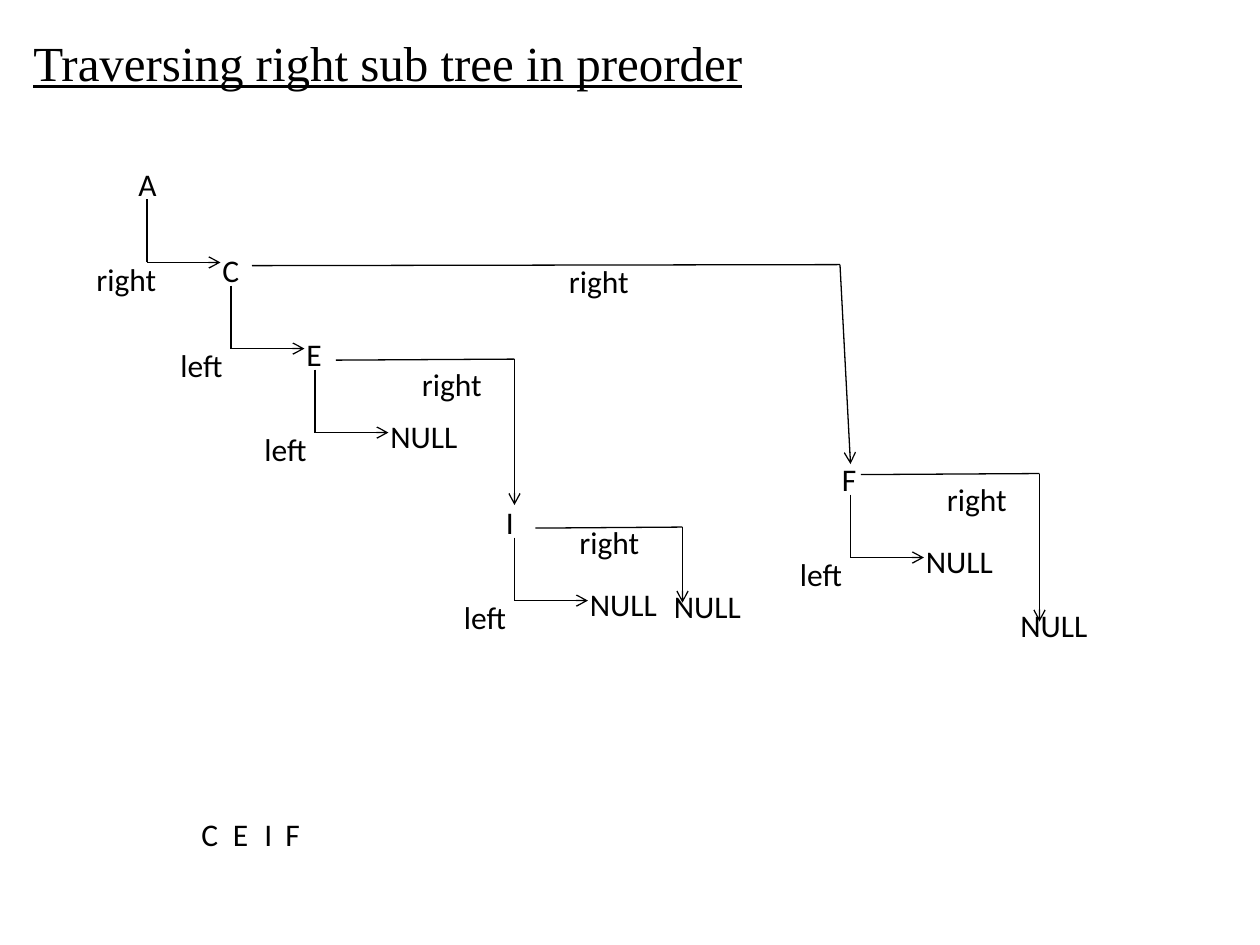
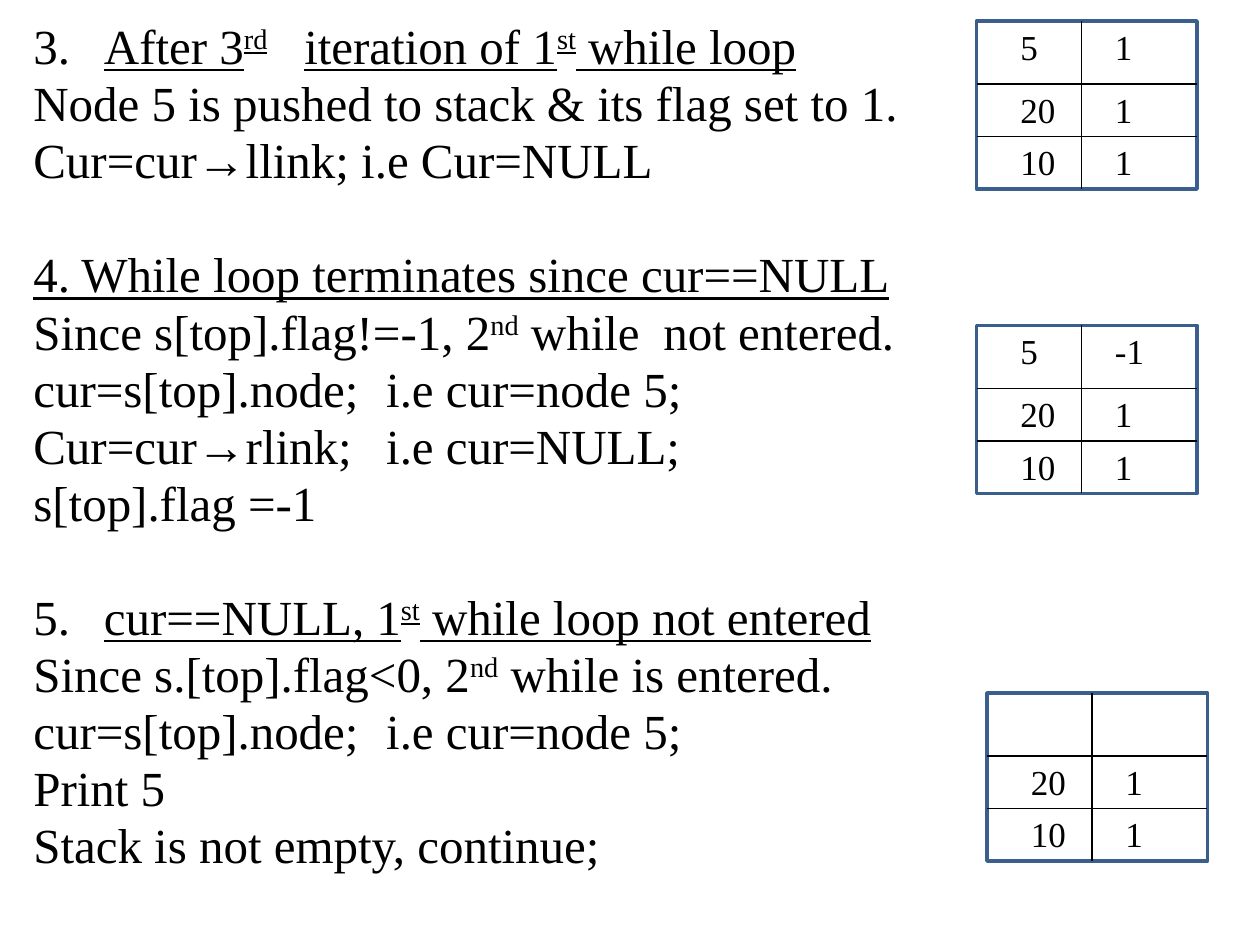
from collections import namedtuple
from itertools import pairwise

from lxml.etree import SubElement
from pptx import Presentation
from pptx.dml.color import RGBColor
from pptx.enum.shapes import MSO_CONNECTOR as Connector, MSO_SHAPE as Shape
from pptx.oxml.ns import qn
from pptx.util import Inches, Pt

CELLS_PER_INCH = 12
BLACK, WHITE, STACK_BLUE = "000000", "FFFFFF", "3A5F8C"
SERIF, SANS = "Times New Roman", "Calibri"
BODY_SIZE, LABEL_SIZE, VALUE_SIZE = 28, 18, 20
LINE_PITCH, LINE_GAP = 27, 5.6
TAB_STOPS = (2.15, 2.8, 5)

Box = namedtuple("Box", "left top width height")
Branch = namedtuple("Branch", "start corner tip label")

TREE_NODES = {"A": (4, 0.1), "C": (12, 8.3), "E": (20, 16.3),
              "I": (39, 32.3), "F": (71, 28.2)}
FIRST_BRANCHES = {"A": "right", "C": "left", "E": "left", "I": "left", "F": "left"}
LEAF_PARENTS = "EIF"
RIGHT_BRANCHES = [
    Branch((16, 10.3), (72, 10.2), (73, 29.2), (45, 9.4)),
    Branch((24, 19.3), (41, 19.2), (41, 33.1), (31, 19.2)),
    Branch((43, 35.3), (57, 35.2), (57, 42.4), (46, 34.2)),
    Branch((74, 30.2), (91, 30.1), (91, 44.2), (81, 30.1)),
]
RIGHT_LEAVES = [(55, 40.3), (88, 42.1)]
VISIT_ORDER = {"C": 0, "E": 3, "I": 6, "F": 8}

STEPS = [
    (3, ["After 3^rd^\titeration of 1^st^ while loop",
         "Node 5 is pushed to stack & its flag set to 1.",
         "Cur=cur→llink; i.e Cur=NULL"]),
    (None, ["4. While loop terminates since cur==NULL",
            "Since s[top].flag!=-1, 2^nd^ while\tnot entered.",
            "cur=s[top].node;\ti.e cur=node 5;",
            "Cur=cur→rlink;\ti.e cur=NULL;",
            "s[top].flag =-1"]),
    (5, ["cur==NULL, 1^st^ while loop not entered",
         "Since s.[top].flag<0, 2^nd^ while is entered.",
         "cur=s[top].node;\ti.e cur=node 5;",
         "Print 5",
         "Stack is not empty, continue;"]),
]
STACKS = [
    (Box(93, 2, 21, 16), [("5", "1"), ("20", "1"), ("10", "1")]),
    (Box(93, 31, 21, 16), [("5", "-1"), ("20", "1"), ("10", "1")]),
    (Box(94, 66, 21, 16), [("", ""), ("20", "1"), ("10", "1")]),
]


def cells(*counts):
    """Turn grid cells into lengths."""
    return [Inches(count / CELLS_PER_INCH) for count in counts]


def color(hex_code):
    """Turn a hex string into a colour."""
    return RGBColor.from_string(hex_code)


def style(paragraph, size, face, underline=None):
    """Set the font of a whole paragraph."""
    font = paragraph.font
    font.size, font.name, font.underline = Pt(size), face, underline
    font.color.rgb = color(BLACK)


def add_frame(slide, box):
    """Add a wrapping text box and return its text frame."""
    frame = slide.shapes.add_textbox(*cells(*box)).text_frame
    frame.word_wrap = True
    return frame


def add_text(slide, box, text, size=LABEL_SIZE, face=SANS, underline=None):
    """Add one line of text."""
    paragraph = add_frame(slide, box).paragraphs[0]
    paragraph.text = text
    style(paragraph, size, face, underline)


def add_line(slide, start, end, arrow=False):
    """Draw a thin black line, with an open arrowhead if asked."""
    line = slide.shapes.add_connector(Connector.STRAIGHT, *cells(*start, *end))
    line.line.width = Pt(0.75)
    line.line.color.rgb = color(BLACK)
    if arrow:
        SubElement(line.line._get_or_add_ln(), qn("a:tailEnd"), type="arrow")
    SubElement(line._element.spPr, qn("a:effectLst"))


def add_elbow(slide, start, corner, tip):
    """Draw a two-part branch ending in an arrow."""
    add_line(slide, start, corner)
    add_line(slide, corner, tip, arrow=True)


def draw_tree(slide, box):
    """Draw the nodes, branches and empty links of the tree."""
    def at(x, y):
        return box.left + x, box.top + y

    def put(text, x, y, width):
        add_text(slide, Box(*at(x, y), width, 4.8), text)

    for name, (x, y) in TREE_NODES.items():
        put(name, x, y, 5)
        add_elbow(slide, at(x + 2, y + 3.9), at(x + 2, y + 9.9), at(x + 9, y + 9.9))
        put(FIRST_BRANCHES[name], x - 4, y + 9.1, 10)
        if name in LEAF_PARENTS:
            put("NULL", x + 8, y + 7.85, 9)
    for branch in RIGHT_BRANCHES:
        add_elbow(slide, at(*branch.start), at(*branch.corner), at(*branch.tip))
        put("right", *branch.label, 10)
    for leaf in RIGHT_LEAVES:
        put("NULL", *leaf, 9)


def draw_visit_order(slide, box):
    """Write the visited nodes in one row."""
    for name, offset in VISIT_ORDER.items():
        add_text(slide, Box(box.left + offset, box.top, 5, box.height), name)


def add_step_line(paragraph, text, number, is_heading, space):
    """Fill one line, raising the parts between carets."""
    for index, part in enumerate(text.split("^")):
        run = paragraph.add_run()
        run.text = part
        if index % 2:
            run._r.get_or_add_rPr().set("baseline", "30000")
    paragraph.line_spacing, paragraph.space_before = Pt(LINE_PITCH), Pt(space)
    props = paragraph._p.get_or_add_pPr()
    if is_heading and number:
        props.set("marL", str(Inches(0.56)))
        props.set("indent", str(-Inches(0.56)))
        SubElement(props, qn("a:buAutoNum"), type="arabicPeriod", startAt=str(number))
    tabs = SubElement(props, qn("a:tabLst"))
    for stop in TAB_STOPS:
        SubElement(tabs, qn("a:tab"), pos=str(Inches(stop)), algn="l")
    style(paragraph, BODY_SIZE, SERIF, is_heading)


def write_steps(slide, box):
    """Write the steps, each set apart by one line pitch."""
    frame = add_frame(slide, box)
    for step, (number, lines) in enumerate(STEPS):
        for row, text in enumerate(lines):
            is_first = step == row == 0
            paragraph = frame.paragraphs[0] if is_first else frame.add_paragraph()
            space = LINE_GAP if row else LINE_PITCH + 2 * LINE_GAP
            add_step_line(paragraph, text, number, row == 0, 0 if is_first else space)


def draw_stack(slide, box, entries):
    """Draw a stack of node and flag pairs."""
    outline = slide.shapes.add_shape(Shape.RECTANGLE, *cells(*box))
    outline.shadow.inherit = False
    outline.fill.solid()
    outline.fill.fore_color.rgb = color(WHITE)
    outline.line.color.rgb = color(STACK_BLUE)
    outline.line.width = Pt(2)
    right, bottom = box.left + box.width, box.top + box.height
    divider = box.left + 10
    add_line(slide, (divider, box.top), (divider, bottom))
    row_edges = [box.top, box.top + 6, box.top + 11, bottom]
    for entry, (top, base) in zip(entries, pairwise(row_edges)):
        if base < bottom:
            add_line(slide, (box.left, base), (right, base))
        for value, offset in zip(entry, (3, 12)):
            if value:
                add_text(slide, Box(box.left + offset, top - 0.2, 7, 5.3),
                         value, VALUE_SIZE, SERIF)


def build_tree_slide(slide):
    """Lay out the traversal of the right sub tree."""
    add_text(slide, Box(2, 2.5, 115, 7), "Traversing right sub tree in preorder",
             BODY_SIZE, SERIF, True)
    draw_tree(slide, Box(8, 15, 97, 47))
    draw_visit_order(slide, Box(18, 77, 13, 4.8))


def build_stack_slide(slide):
    """Lay out the steps beside the stack after each one."""
    write_steps(slide, Box(2, 2, 116, 86))
    for box, entries in STACKS:
        draw_stack(slide, box, entries)


def main():
    """Build both slides and save them."""
    deck = Presentation()
    deck.slide_width, deck.slide_height = cells(120, 90)
    for build in (build_tree_slide, build_stack_slide):
        build(deck.slides.add_slide(deck.slide_layouts[6]))
    deck.save("out.pptx")


if __name__ == "__main__":
    main()
